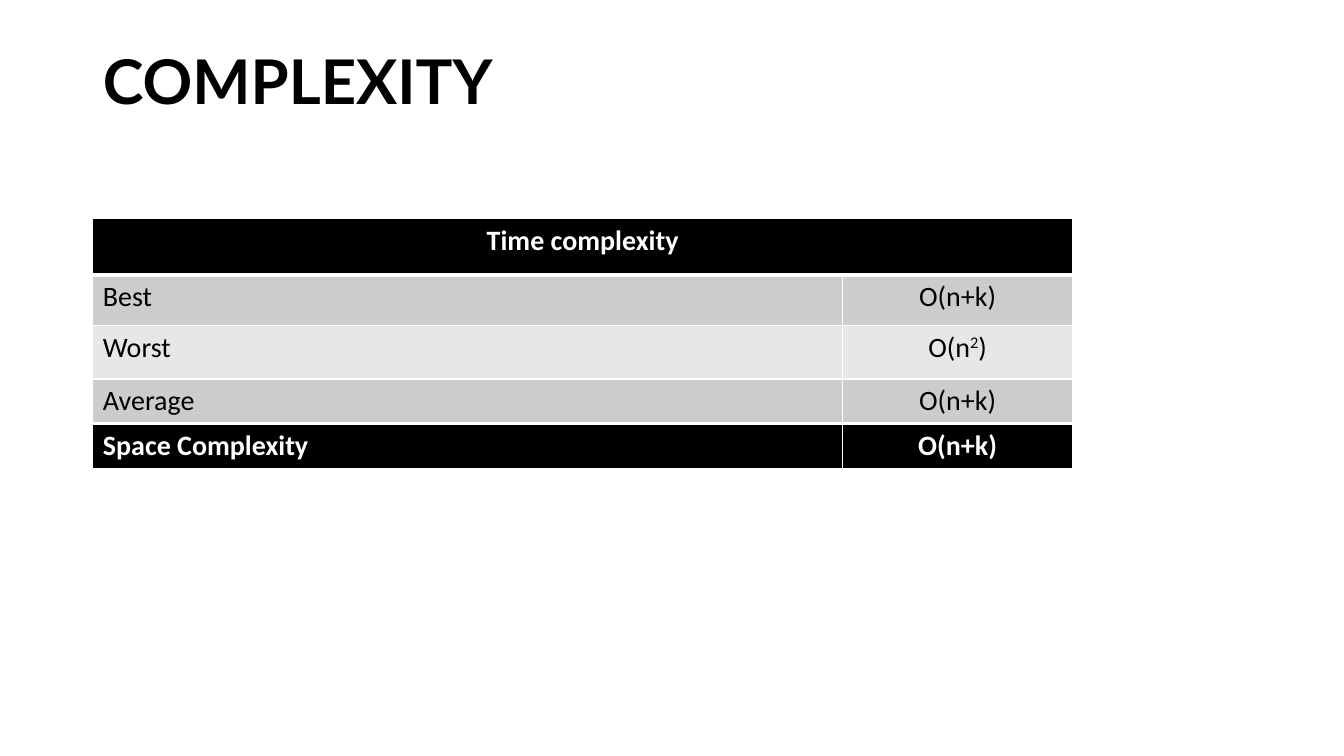
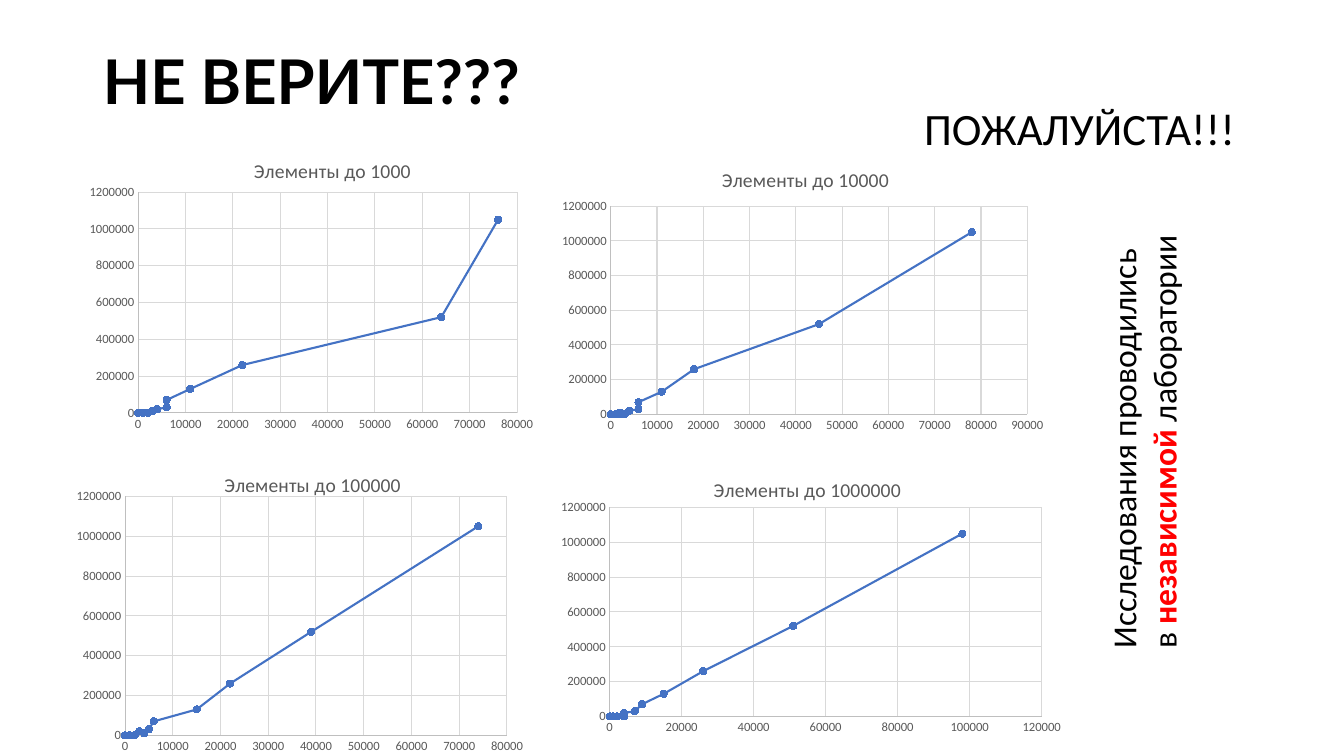
from typing import NamedTuple

from lxml import etree
from pptx import Presentation
from pptx.chart.data import XyChartData
from pptx.dml.color import RGBColor as Rgb
from pptx.enum.chart import XL_CHART_TYPE as Kind
from pptx.enum.chart import XL_MARKER_STYLE as Mark
from pptx.enum.chart import XL_TICK_MARK as Tick
from pptx.enum.text import MSO_ANCHOR as Anchor
from pptx.enum.text import MSO_AUTO_SIZE as Fit
from pptx.enum.text import PP_ALIGN as Align
from pptx.oxml.ns import qn
from pptx.util import Cm, Pt

BLACK = Rgb(0x00, 0x00, 0x00)
WHITE = Rgb(0xFF, 0xFF, 0xFF)
RED = Rgb(0xFF, 0x00, 0x00)
DARK = Rgb(0xCC, 0xCC, 0xCC)
LIGHT = Rgb(0xE7, 0xE7, 0xE7)
GREY = Rgb(0x59, 0x59, 0x59)
AXIS = Rgb(0xBF, 0xBF, 0xBF)
GRID = Rgb(0xD9, 0xD9, 0xD9)
BLUE = Rgb(0x44, 0x72, 0xC4)
BODY, HEAD = "Calibri", "Lato"


class Row(NamedTuple):
    label: str
    cost: str
    power: str
    tall: float
    fill: Rgb
    strong: bool = False


class Graph(NamedTuple):
    name: str
    box: tuple[float, ...]    # left, top, width, height in cm
    plot: tuple[float, ...]   # inner plot, as shares of the chart
    title: tuple[float, ...]  # title corner, as shares of the chart
    top: int
    step: int
    times: tuple[int, ...]    # x values in thousands


ROWS = [
    Row("Time complexity", "", "", 1.42, BLACK, True),
    Row("Best", "O(n+k)", "", 1.27, DARK),
    Row("Worst", "O(n)", "2", 1.35, LIGHT),
    Row("Average", "O(n+k)", "", 1.12, DARK),
    Row("Space Complexity", "O(n+k)", "", 1.14, BLACK, True),
]
COUNTS = (0,) * 13 + (10, 20, 30, 70, 130, 260, 520, 1050)  # in thousands
GRAPHS = [
    Graph("Элементы до 1000", (2.24, 3.66, 11.3, 7.39),
          (0.11, 0.16, 0.845, 0.753), (0.36, 0.03), 80000, 10000,
          (1, 0, 0, 0, 0, 0, 0, 0, 1, 1, 2, 2, 1, 3, 4, 6, 6, 11, 22, 64, 76)),
    Graph("Элементы до 10000", (13.94, 3.66, 12.62, 7.39),
          (0.115, 0.208, 0.832, 0.71), (0.33, 0.06), 90000, 10000,
          (1, 0, 0, 0, 0, 0, 0, 1, 1, 3, 1, 2, 1, 2, 4, 6, 6, 11, 18, 45, 78)),
    Graph("Элементы до 100000", (1.93, 11.33, 11.61, 7.72),
          (0.101, 0.153, 0.833, 0.78), (0.31, 0.06), 80000, 10000,
          (1, 0, 0, 0, 0, 0, 0, 0, 1, 1, 1, 2, 1, 4, 3, 5, 6, 15, 22, 39, 74)),
    Graph("Элементы до 1000000", (13.54, 11.48, 13.41, 7.39),
          (0.136, 0.177, 0.812, 0.713), (0.325, 0.06), 120000, 20000,
          (1, 0, 0, 0, 0, 0, 0, 1, 4, 1, 2, 2, 1, 4, 4, 7, 9, 15, 26, 51, 98)),
]


def write(para, text: str, *, size: float, color: Rgb = BLACK,
          bold: bool = False, face: str = BODY, lift: int = 0) -> None:
    """Add one formatted run; lift is the baseline shift in percent."""
    run = para.add_run()
    run.text = text
    font = run.font
    font.size, font.bold, font.name = Pt(size), bold, face
    font.color.rgb = color
    if lift:
        font._element.set("baseline", str(lift * 1000))


def add_page(deck, text: str):
    """Add a slide with the shared title style."""
    page = deck.slides.add_slide(deck.slide_layouts[5])
    head = page.shapes.title
    head.left, head.top, head.width, head.height = map(
        Cm, (2.34, 1.02, 29.21, 2.24))
    frame = head.text_frame
    frame.auto_size, frame.vertical_anchor = Fit.NONE, Anchor.MIDDLE
    para = frame.paragraphs[0]
    para.alignment, para.line_spacing = Align.LEFT, 0.9
    write(para, text, size=44, bold=True, face=HEAD)
    return page


def add_box(page, *box: float):
    """Add a text box that grows with its text."""
    shape = page.shapes.add_textbox(*map(Cm, box))
    frame = shape.text_frame
    frame.word_wrap, frame.auto_size = False, Fit.SHAPE_TO_FIT_TEXT
    return shape


def edge(cell, thick: tuple[str, ...]) -> None:
    """Draw white cell borders, 3 pt on the thick sides and 1 pt elsewhere."""
    props = cell._tc.get_or_add_tcPr()
    for i, side in enumerate(("lnL", "lnR", "lnT", "lnB")):
        line = etree.Element(qn(f"a:{side}"))
        line.set("w", str(Pt(3 if side in thick else 1)))
        fill = etree.SubElement(line, qn("a:solidFill"))
        etree.SubElement(fill, qn("a:srgbClr")).set("val", str(WHITE))
        props.insert(i, line)


def add_grid(page) -> None:
    """Add the complexity table."""
    tall = sum(row.tall for row in ROWS)
    wide = (18.9, 5.79)
    table = page.shapes.add_table(
        len(ROWS), len(wide), Cm(2.34), Cm(5.51), Cm(sum(wide)), Cm(tall)).table
    table.horz_banding = False
    for col, width in zip(table.columns, wide):
        col.width = Cm(width)
    table.cell(0, 0).merge(table.cell(0, 1))
    last = len(ROWS) - 1
    thick = {0: ("lnB",), 1: ("lnT",), last - 1: ("lnB",), last: ("lnT",)}
    for i, row in enumerate(ROWS):
        table.rows[i].height = Cm(row.tall)
        ink = WHITE if row.strong else BLACK
        for j, text in enumerate((row.label, row.cost)):
            cell = table.cell(i, j)
            cell.fill.solid()
            cell.fill.fore_color.rgb = row.fill
            edge(cell, thick.get(i, ()))
            if not text:
                continue
            para = cell.text_frame.paragraphs[0]
            para.alignment = Align.CENTER if j or not i else Align.LEFT
            style = dict(size=20, color=ink, bold=row.strong)
            if j and row.power:
                write(para, text[:-1], **style)
                write(para, row.power, lift=30, **style)
                text = text[-1]
            write(para, text, **style)


def place(node, spot: int, share: tuple[float, ...], inner: bool) -> None:
    """Fix the layout of a chart part by shares of the chart's size."""
    for old in node.findall(qn("c:layout")):
        node.remove(old)
    layout = etree.Element(qn("c:layout"))
    manual = etree.SubElement(layout, qn("c:manualLayout"))
    pairs = [("layoutTarget", "inner")] if inner else []
    pairs += [("xMode", "edge"), ("yMode", "edge")]
    pairs += zip("xywh", map(str, share))
    for tag, val in pairs:
        etree.SubElement(manual, qn(f"c:{tag}")).set("val", val)
    node.insert(spot, layout)


def style_axis(axis, top: int, step: int) -> None:
    axis.minimum_scale, axis.maximum_scale, axis.major_unit = 0, top, step
    axis.major_tick_mark = axis.minor_tick_mark = Tick.NONE
    axis.has_major_gridlines = True
    for line, color in ((axis.format.line, AXIS),
                        (axis.major_gridlines.format.line, GRID)):
        line.color.rgb, line.width = color, Pt(0.75)
    labels = axis.tick_labels
    labels.number_format, labels.number_format_is_linked = "General", False
    font = labels.font
    font.size, font.name, font.color.rgb = Pt(9), BODY, GREY


def add_graph(page, graph: Graph) -> None:
    """Add one scatter chart with its title."""
    data = XyChartData()
    points = data.add_series("Series 1")
    for x, y in zip(graph.times, COUNTS):
        points.add_data_point(x * 1000, y * 1000)
    chart = page.shapes.add_chart(
        Kind.XY_SCATTER_LINES, *map(Cm, graph.box), data).chart
    chart.has_legend = False
    chart.font.size, chart.font.name = Pt(10), BODY
    chart.font.color.rgb = BLACK
    write(chart.chart_title.text_frame.paragraphs[0], graph.name,
          size=14, color=GREY)
    style_axis(chart.category_axis, graph.top, graph.step)
    style_axis(chart.value_axis, 1200000, 200000)

    # Line and markers
    plot = chart.plots[0]
    plot.vary_by_categories = False
    line = plot.series[0]
    line.smooth = False
    line.format.line.color.rgb, line.format.line.width = BLUE, Pt(1.5)
    mark = line.marker
    mark.style, mark.size = Mark.CIRCLE, 5
    mark.format.fill.solid()
    mark.format.fill.fore_color.rgb = BLUE
    mark.format.line.color.rgb = BLUE

    # Fixed places of title and plot
    root = chart._chartSpace.find(qn("c:chart"))
    place(root.find(qn("c:title")), 1, graph.title, False)
    place(root.find(qn("c:plotArea")), 0, graph.plot, True)


def main() -> None:
    deck = Presentation()
    deck.slide_width, deck.slide_height = Cm(33.87), Cm(19.05)

    # Complexity table
    add_grid(add_page(deck, "COMPLEXITY"))

    # Measured charts
    page = add_page(deck, "НЕ ВЕРИТЕ???")
    reply = add_box(page, 23.04, 2.41, 8.81, 1.63)
    write(reply.text_frame.paragraphs[0], "ПОЖАЛУЙСТА!!!", size=32)
    for graph in GRAPHS:
        add_graph(page, graph)

    # Upright note
    note = add_box(page, 23.22, 9.83, 11.2, 2.31)
    note.rotation = 270
    frame = note.text_frame
    write(frame.paragraphs[0], "Исследования проводились", size=24)
    para = frame.add_paragraph()
    write(para, "в ", size=24)
    write(para, "независимой", size=24, color=RED, bold=True)
    write(para, " лаборатории", size=24)

    deck.save("out.pptx")


if __name__ == "__main__":
    main()
